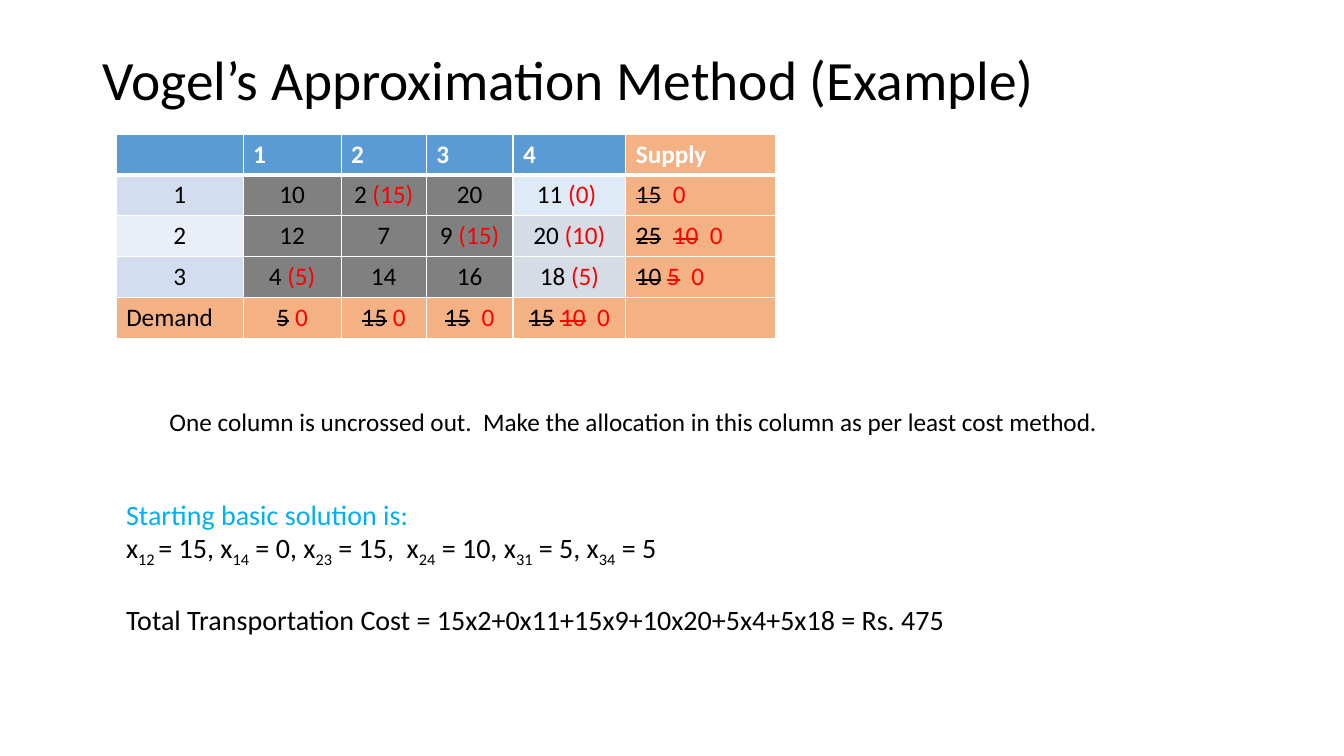
from dataclasses import dataclass

from lxml.etree import SubElement
from pptx import Presentation
from pptx.dml.color import RGBColor as Color
from pptx.enum.text import MSO_ANCHOR as Anchor, PP_ALIGN as Align
from pptx.oxml.ns import qn
from pptx.util import Pt


@dataclass(frozen=True)
class Theme:
    font: str = "Calibri"
    title_size: float = 39.6
    solution_size: float = 20
    body_size: float = 18
    ink: str = "000000"
    white: str = "FFFFFF"
    red: str = "FF0000"
    cyan: str = "00B0F0"
    header: str = "5B9BD5"
    total: str = "F4B183"
    crossed: str = "808080"
    band_dark: str = "D2DEEF"
    band_light: str = "EAEFF7"
    open_first: str = "DEEBF7"
    open_rest: str = "D6DCE5"


THEME = Theme()


# Run kinds used in the wording
def plain(text):
    return text, {}


def new(text):
    return text, {"color": THEME.red}


def old(text):
    return text, {"strike": True}


def passed(text):
    return text, {"color": THEME.red, "strike": True}


def index(text):
    return text, {"baseline": "-25000"}


class SlideBuilder:
    def __init__(self, presentation, theme):
        self.theme = theme
        self.slide = presentation.slides.add_slide(presentation.slide_layouts[6])

    def add_run(self, paragraph, text, size, color=None, bold=False,
                strike=False, baseline=None):
        run = paragraph.add_run()
        run.text = text
        font = run.font
        font.name, font.size, font.bold = self.theme.font, Pt(size), bold
        font.color.rgb = Color.from_string(color or self.theme.ink)
        properties = run._r.get_or_add_rPr()
        if strike:
            properties.set("strike", "sngStrike")
        if baseline:
            properties.set("baseline", baseline)

    def fill_paragraph(self, paragraph, runs, size, align=Align.LEFT, **style):
        paragraph.alignment = align
        for text, own_style in runs:
            self.add_run(paragraph, text, size, **{**style, **own_style})

    def text(self, box, paragraphs, size, align=Align.LEFT, anchor=Anchor.TOP):
        """Each paragraph is a pair: space before it, and its runs."""
        shape = self.slide.shapes.add_textbox(*map(Pt, box))
        frame = shape.text_frame
        frame.word_wrap = True
        frame.vertical_anchor = anchor
        for number, (space, runs) in enumerate(paragraphs):
            paragraph = frame.add_paragraph() if number else frame.paragraphs[0]
            paragraph.space_before = Pt(space)
            self.fill_paragraph(paragraph, runs, size, align)

    def border(self, cell, side, width):
        line = SubElement(cell._tc.get_or_add_tcPr(), qn(f"a:{side}"), w=str(Pt(width)))
        fill = SubElement(line, qn("a:solidFill"))
        SubElement(fill, qn("a:srgbClr"), val=self.theme.white)

    def table(self, left, top, widths, heights, rows, fill_for):
        frame = self.slide.shapes.add_table(
            len(rows), len(widths), Pt(left), Pt(top), Pt(sum(widths)), Pt(sum(heights)))
        table = frame.table
        table.first_row = table.horz_banding = False
        for column, width in zip(table.columns, widths):
            column.width = Pt(width)
        for row, height in zip(table.rows, heights):
            row.height = Pt(height)
        for r, runs_in_row in enumerate(rows):
            for c, runs in enumerate(runs_in_row):
                self.cell(table.cell(r, c), r, c, runs, fill_for(r, c))

    def cell(self, cell, r, c, runs, fill):
        # Borders: a thick rule under the header row
        sides = {"lnL": 1, "lnR": 1, "lnT": 3 if r == 1 else 1, "lnB": 3 if r == 0 else 1}
        for side, width in sides.items():
            self.border(cell, side, width)
        cell.fill.solid()
        cell.fill.fore_color.rgb = Color.from_string(fill)
        # Header, supply column and demand label are left-aligned
        at_left = r == 0 or c == SUPPLY or (r, c) == (DEMAND, 0)
        self.fill_paragraph(
            cell.text_frame.paragraphs[0], runs, self.theme.body_size,
            Align.LEFT if at_left else Align.CENTER,
            color=self.theme.white if r == 0 else self.theme.ink, bold=r == 0)


# Transportation table: costs, allocations, supply and demand
SUPPLY, DEMAND, OPEN_COLUMN = 5, 4, 4
COSTS = [
    [[]] + [[plain(label)] for label in ("1", "2", "3", "4", "Supply")],
    [[plain("1")], [plain("10")], [plain("2 "), new("(15)")], [plain("20")],
     [plain("11 "), new("(0) ")], [old("15"), plain("  "), new("0")]],
    [[plain("2")], [plain("12")], [plain("7")], [plain("9 "), new("(15)")],
     [plain("20 "), new("(10)")], [old("25"), plain("  "), passed("10"), new("  0")]],
    [[plain("3")], [plain("4 "), new("(5)")], [plain("14")], [plain("16")],
     [plain("18 "), new("(5)")], [old("10"), plain(" "), passed("5"), new("  0")]],
    [[plain("Demand")], [old("5"), plain(" "), new("0")], [old("15"), plain(" "), new("0")],
     [old("15"), new("  0")], [old("15"), plain(" "), passed("10"), new("  0")], []],
]


def cost_fill(r, c):
    if c == SUPPLY or r == DEMAND:
        return THEME.total
    if r == 0:
        return THEME.header
    if c == 0:
        return THEME.band_dark if r % 2 else THEME.band_light
    if c == OPEN_COLUMN:
        return THEME.open_first if r == 1 else THEME.open_rest
    return THEME.crossed


SOLUTION = [
    plain("x"), index("12 "), plain("= 15, x"), index("14"), plain(" = 0, x"),
    index("23"), plain(" = 15,  x"), index("24"), plain(" = 10, x"),
    index("31"), plain(" = 5, x"), index("34"), plain(" = 5"),
]


def main():
    presentation = Presentation()
    presentation.slide_width, presentation.slide_height = Pt(960), Pt(540)
    builder = SlideBuilder(presentation, THEME)

    # Title
    builder.text((66, 28.8, 813, 54), [(0, [plain("Vogel’s Approximation Method (Example)")])],
                 THEME.title_size, Align.JUSTIFY, Anchor.MIDDLE)

    # Cost table
    builder.table(83, 96, [90.7, 70, 60.8, 62, 80.6, 107.2], [26.6] + [29.2] * 4,
                  COSTS, cost_fill)

    # Allocation note
    builder.text((114, 286.5, 734, 29),
                 [(0, [plain("One column is uncrossed out.  Make the allocation in this "
                             "column as per least cost method.")])], THEME.body_size)

    # Basic solution and its cost
    builder.text((83, 351.5, 684, 104), [
        (0, [("Starting basic solution is:", {"color": THEME.cyan})]),
        (0, SOLUTION),
        (24, [plain("Total Transportation Cost = 15x2+0x11+15x9+10x20+5x4+5x18 = Rs. 475")]),
    ], THEME.solution_size)

    presentation.save("out.pptx")


if __name__ == "__main__":
    main()
